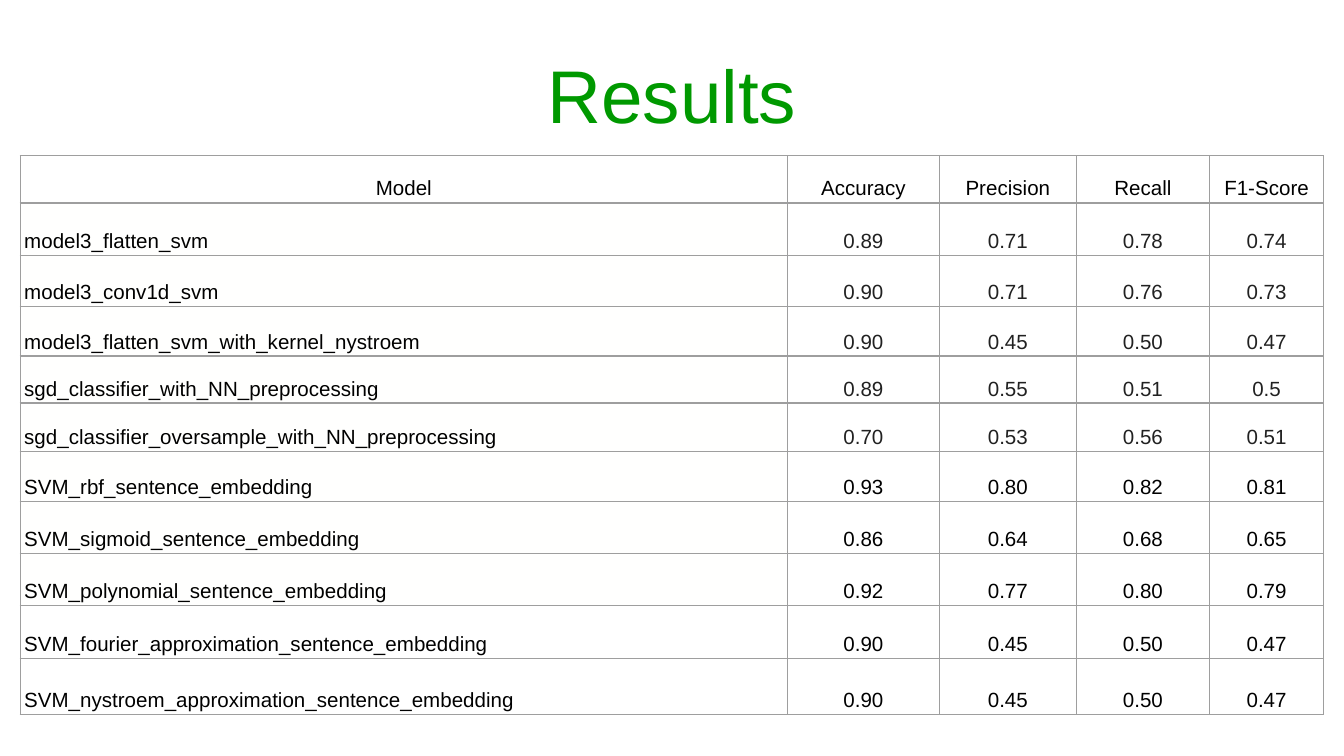
from lxml.etree import SubElement
from pptx import Presentation
from pptx.dml.color import RGBColor
from pptx.enum.text import MSO_ANCHOR, MSO_AUTO_SIZE, PP_ALIGN
from pptx.oxml.ns import qn
from pptx.util import Inches, Pt

FONT = "Arial"
COLORS = {
    "title": "009900",
    "text": "000000",
    "score": "212121",
    "border": "9E9E9E",
    "model_fill": "FFFFFE",
    "score_fill": "FFFFFF",
}
BORDER_WIDTH = Pt(0.75)
COLUMN_WIDTHS = [5.71, 1.13, 1.02, 0.99, 0.85]
ROW_HEIGHTS = [0.35, 0.39, 0.38, 0.37, 0.35, 0.36, 0.37, 0.39, 0.39, 0.39, 0.42]
RESULTS = [
    ["Model", "Accuracy", "Precision", "Recall", "F1-Score"],
    ["model3_flatten_svm", "0.89", "0.71", "0.78", "0.74"],
    ["model3_conv1d_svm", "0.90", "0.71", "0.76", "0.73"],
    ["model3_flatten_svm_with_kernel_nystroem", "0.90", "0.45", "0.50", "0.47"],
    ["sgd_classifier_with_NN_preprocessing", "0.89", "0.55", "0.51", "0.5"],
    ["sgd_classifier_oversample_with_NN_preprocessing", "0.70", "0.53", "0.56", "0.51"],
    ["SVM_rbf_sentence_embedding", "0.93", "0.80", "0.82", "0.81"],
    ["SVM_sigmoid_sentence_embedding", "0.86", "0.64", "0.68", "0.65"],
    ["SVM_polynomial_sentence_embedding", "0.92", "0.77", "0.80", "0.79"],
    ["SVM_fourier_approximation_sentence_embedding", "0.90", "0.45", "0.50", "0.47"],
    ["SVM_nystroem_approximation_sentence_embedding", "0.90", "0.45", "0.50", "0.47"],
]
SHADED_MODEL_ROWS = range(1, 9)
SHADED_SCORE_ROWS = range(1, 6)


def format_text(para, size, color, align):
    para.alignment = align
    for span in para.runs:
        span.font.name = FONT
        span.font.size = Pt(size)
        span.font.color.rgb = RGBColor.from_string(COLORS[color])


def add_title(page, text):
    title = page.shapes.title
    title.left, title.top = Inches(0.5), Inches(0.23)
    title.width, title.height = Inches(9), Inches(0.94)
    frame = title.text_frame
    frame.text = text
    frame.auto_size = MSO_AUTO_SIZE.NONE
    frame.vertical_anchor = MSO_ANCHOR.MIDDLE
    format_text(frame.paragraphs[0], 40, "title", PP_ALIGN.CENTER)


def add_borders(cell):
    properties = cell._tc.get_or_add_tcPr()
    for side in ("a:lnL", "a:lnR", "a:lnT", "a:lnB"):
        line = SubElement(properties, qn(side), w=str(BORDER_WIDTH))
        fill = SubElement(line, qn("a:solidFill"))
        SubElement(fill, qn("a:srgbClr"), val=COLORS["border"])


def fill_cell(cell, color):
    """Fill the cell, or leave it clear when color is None."""
    if color is None:
        cell.fill.background()
    else:
        cell.fill.solid()
        cell.fill.fore_color.rgb = RGBColor.from_string(COLORS[color])


def format_cell(cell, row, column):
    is_model = column == 0
    shaded = row in (SHADED_MODEL_ROWS if is_model else SHADED_SCORE_ROWS)
    cell.margin_left = cell.margin_right = Inches(0.03)
    cell.margin_top = cell.margin_bottom = Inches(0.02)
    cell.vertical_anchor = MSO_ANCHOR.BOTTOM
    add_borders(cell)
    fill_cell(cell, ("model_fill" if is_model else "score_fill") if shaded else None)
    para = cell.text_frame.paragraphs[0]
    para.line_spacing = 1.15
    color = "score" if shaded and not is_model else "text"
    align = PP_ALIGN.LEFT if is_model and row > 0 else PP_ALIGN.CENTER
    format_text(para, 11, color, align)


def add_results_table(page):
    table = page.shapes.add_table(
        len(RESULTS), len(COLUMN_WIDTHS), Inches(0.15), Inches(1.16),
        Inches(sum(COLUMN_WIDTHS)), Inches(sum(ROW_HEIGHTS)),
    ).table
    table.first_row = table.horz_banding = False
    for column, width in zip(table.columns, COLUMN_WIDTHS):
        column.width = Inches(width)
    for row, height in zip(table.rows, ROW_HEIGHTS):
        row.height = Inches(height)
    for row, values in enumerate(RESULTS):
        for column, value in enumerate(values):
            cell = table.cell(row, column)
            cell.text_frame.text = value
            format_cell(cell, row, column)


def main():
    deck = Presentation()
    deck.slide_width = Inches(10)
    deck.slide_height = deck.slide_width * 9 // 16
    page = deck.slides.add_slide(deck.slide_layouts.get_by_name("Title Only"))
    add_title(page, "Results")
    add_results_table(page)
    deck.save("out.pptx")


if __name__ == "__main__":
    main()
